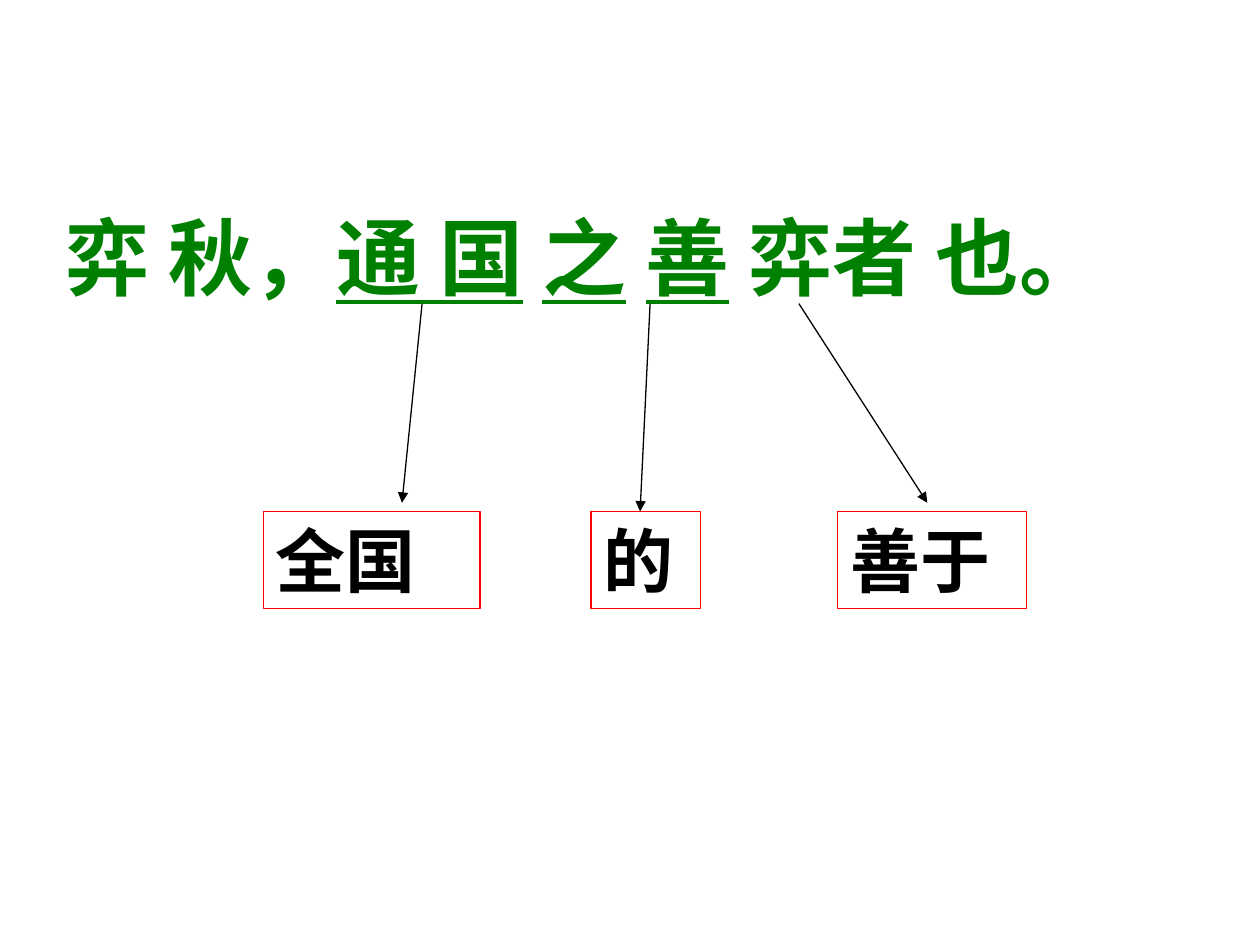
from lxml import etree
from pptx import Presentation
from pptx.dml.color import RGBColor
from pptx.enum.shapes import MSO_CONNECTOR, MSO_SHAPE
from pptx.enum.text import MSO_ANCHOR, MSO_AUTO_SIZE, PP_ALIGN
from pptx.oxml.ns import qn
from pptx.util import Pt

RECTANGLE = MSO_SHAPE.RECTANGLE
STRAIGHT = MSO_CONNECTOR.STRAIGHT
TOP = MSO_ANCHOR.TOP
LEFT = PP_ALIGN.LEFT
GROW = MSO_AUTO_SIZE.SHAPE_TO_FIT_TEXT
COLOURS = {"sentence": "008000", "gloss": "000000", "frame": "FF0000", "arrow": "000000"}


def colour(name):
    return RGBColor.from_string(COLOURS[name])


def style(span, font_name, size, colour_name):
    span.font.name = font_name
    span.font.size = Pt(size)
    span.font.bold = True
    span.font.color.rgb = colour(colour_name)
    east_asian = etree.SubElement(span.font._element, qn("a:ea"))
    east_asian.set("typeface", font_name)


deck = Presentation()
deck.slide_width, deck.slide_height = Pt(720), Pt(540)
page = deck.slides.add_slide(deck.slide_layouts[6])

# Classical sentence with the glossed words underlined
sentence = page.shapes.add_textbox(Pt(30.24), Pt(113.76), Pt(689.76), Pt(64.8))
sentence.text_frame.word_wrap = True
sentence.text_frame.auto_size = GROW
para = sentence.text_frame.paragraphs[0]
parts = ["弈 秋，", "通 国", " ", "之", " ", "善", " 弈者 也。"]
for index, part in enumerate(parts):
    span = para.add_run()
    span.text = part
    style(span, "Noto Sans CJK SC", 48, "sentence")
    span.font.underline = index % 2 == 1

# Framed modern meanings: text, left, width
for meaning, left, width in [("全国", 150.5, 123.8), ("的", 337.7, 62.6), ("善于", 478.8, 108)]:
    box = page.shapes.add_shape(RECTANGLE, Pt(left), Pt(292.3), Pt(width), Pt(55.4))
    box.shadow.inherit = False
    box.fill.background()
    box.line.color.rgb = colour("frame")
    box.line.width = Pt(0.75)
    frame = box.text_frame
    frame.word_wrap = True
    frame.auto_size = GROW
    frame.vertical_anchor = TOP
    frame.text = meaning
    para = frame.paragraphs[0]
    para.alignment = LEFT
    style(para.runs[0], "Arial", 40, "gloss")

# Arrows from the sentence to the meanings: start x, end x, end y
for start_x, end_x, end_y in [(241.2, 229.7, 287.3), (371.5, 365.8, 292.3), (456.5, 529.9, 287.3)]:
    arrow = page.shapes.add_connector(STRAIGHT, Pt(start_x), Pt(173.5), Pt(end_x), Pt(end_y))
    arrow.line.color.rgb = colour("arrow")
    arrow.line.width = Pt(0.75)
    etree.SubElement(arrow.line._get_or_add_ln(), qn("a:tailEnd")).set("type", "triangle")
    etree.SubElement(arrow._element.spPr, qn("a:effectLst"))

deck.save("out.pptx")
